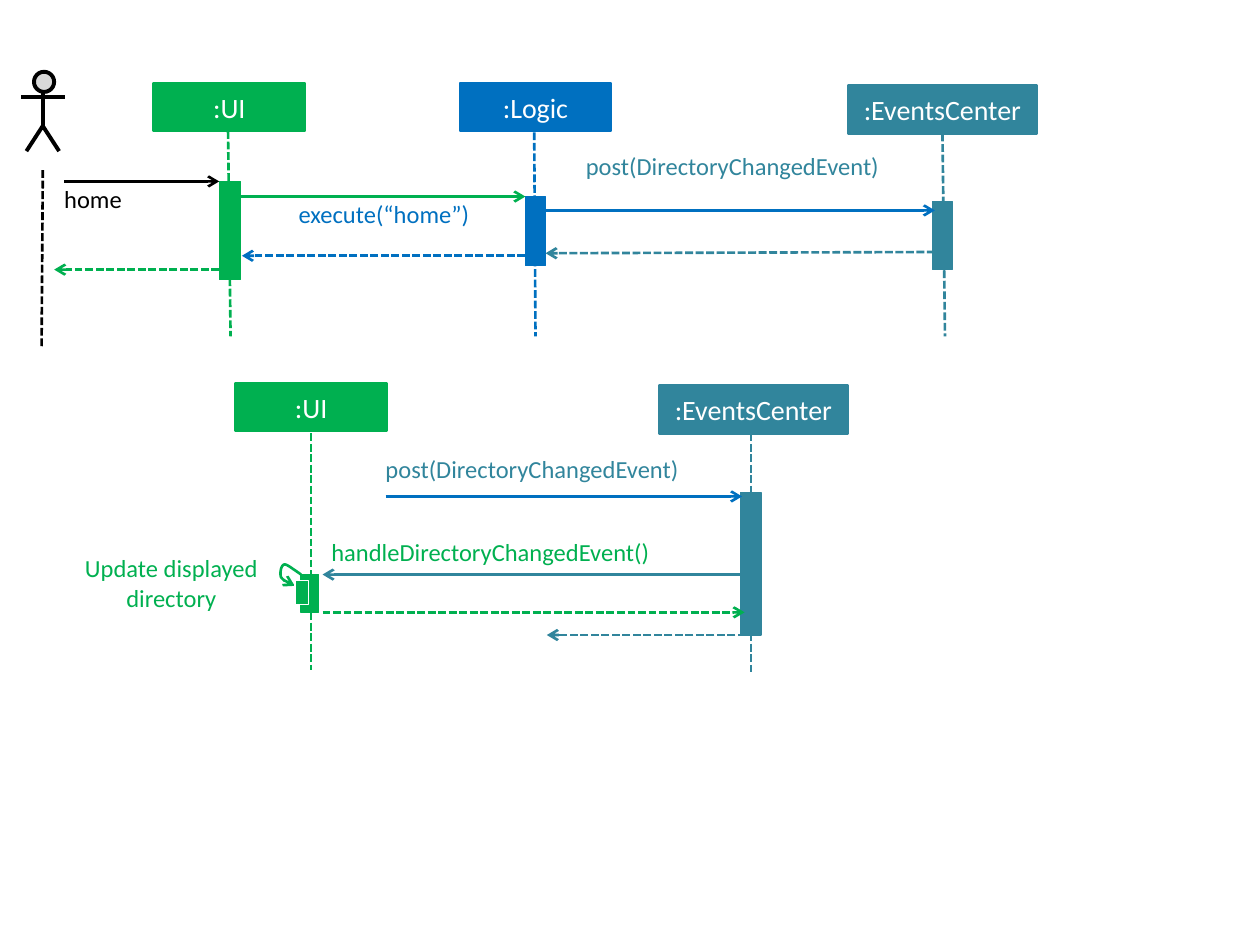
import pptx
import pptx.dml.color
import pptx.enum.dml
import pptx.enum.shapes
import pptx.enum.text
import pptx.oxml.ns
import pptx.util
from lxml import etree

Inches = pptx.util.Inches
Pt = pptx.util.Pt
RGBColor = pptx.dml.color.RGBColor
SHAPE = pptx.enum.shapes.MSO_SHAPE
ALIGN = pptx.enum.text.PP_ALIGN
qn = pptx.oxml.ns.qn

GREEN = RGBColor(0x00, 0xB0, 0x50)
BLUE = RGBColor(0x00, 0x70, 0xC0)
TEAL = RGBColor(0x31, 0x85, 0x9C)
GREY = RGBColor(0xD9, 0xD9, 0xD9)
BLACK = RGBColor(0, 0, 0)
WHITE = RGBColor(0xFF, 0xFF, 0xFF)


def add_run(p, text, size, color):
    r = p.add_run()
    r.text = text
    r.font.name = "Calibri"
    r.font.size = Pt(size)
    r.font.color.rgb = color


def style_line(line, color, width):
    line.color.rgb = color
    line.width = Pt(width)


def add_arrowhead(line, end):
    etree.SubElement(line._get_or_add_ln(), qn("a:" + end), type="arrow")


def add_block(shapes, box, fill, outline, width, kind=SHAPE.RECTANGLE):
    sp = shapes.add_shape(kind, *map(Inches, box))
    sp.shadow.inherit = False
    sp.fill.solid()
    sp.fill.fore_color.rgb = fill
    style_line(sp.line, outline, width)
    return sp


def add_line(shapes, start, end, color, width=1.5, dashed=False, arrow=False):
    cxn = shapes.add_connector(
        pptx.enum.shapes.MSO_CONNECTOR.STRAIGHT, *map(Inches, start + end))
    style_line(cxn.line, color, width)
    if dashed:
        cxn.line.dash_style = pptx.enum.dml.MSO_LINE.SQUARE_DOT
    if arrow:
        add_arrowhead(cxn.line, "tailEnd")
    etree.SubElement(cxn._element.spPr, qn("a:effectLst"))


def add_path(shapes, points, color, width):
    points = [(Inches(x), Inches(y)) for x, y in points]
    builder = shapes.build_freeform(*points[0])
    builder.add_line_segments(points[1:], close=False)
    sp = builder.convert_to_shape()
    sp.shadow.inherit = False
    sp.fill.background()
    style_line(sp.line, color, width)
    return sp


def add_label(shapes, text, box, color, align=ALIGN.LEFT):
    tf = shapes.add_textbox(*map(Inches, box)).text_frame
    tf.word_wrap = True
    tf.margin_left = tf.margin_right = tf.margin_top = tf.margin_bottom = 0
    p = tf.paragraphs[0]
    p.alignment = align
    add_run(p, text, 14, color)


def add_participant(shapes, name, left, top, width, lifeline, bar, color):
    tf = add_block(shapes, (left, top, width, 0.38), color, color, 1.5).text_frame
    tf.vertical_anchor = pptx.enum.text.MSO_ANCHOR.MIDDLE
    p = tf.paragraphs[0]
    p.alignment = ALIGN.CENTER
    add_run(p, name, 16, WHITE)
    add_line(shapes, *lifeline, color, dashed=True)
    add_block(shapes, bar, color, color, 0.75)


def add_actor(shapes):
    actor = shapes.add_group_shape().shapes
    add_block(actor, (0.27, 0.57, 0.16, 0.16), GREY, BLACK, 2.25,
              SHAPE.FLOWCHART_CONNECTOR)
    add_line(actor, (0.34, 0.73), (0.34, 1.01), BLACK, 2.25)
    add_path(actor, [(0.21, 1.2), (0.34, 1), (0.47, 1.2)], BLACK, 2.25)
    add_line(actor, (0.17, 0.77), (0.52, 0.77), BLACK, 2.25)
    add_line(shapes, (0.34, 1.35), (0.33, 2.75), BLACK, dashed=True)


def bezier(points, steps=8):
    for i in range(1, steps + 1):
        t = i / steps
        weights = ((1 - t) ** 3, 3 * t * (1 - t) ** 2, 3 * t * t * (1 - t), t ** 3)
        yield tuple(sum(w * pt[axis] for w, pt in zip(weights, points))
                    for axis in (0, 1))


def add_self_call(shapes):
    call = shapes.add_group_shape().shapes
    controls = [(2.34, 4.65), (2.29, 4.63), (2.25, 4.61), (2.23, 4.58),
                (2.22, 4.55), (2.23, 4.48), (2.26, 4.48),
                (2.28, 4.48), (2.33, 4.52), (2.39, 4.56)]
    points = controls[:1]
    for i in range(0, 9, 3):
        points.extend(bezier(controls[i:i + 4]))
    add_arrowhead(add_path(call, points, GREEN, 1.5).line, "headEnd")
    add_block(call, (2.34, 4.61, 0.11, 0.19), GREEN, WHITE, 0.75)


def main():
    prs = pptx.Presentation()
    prs.slide_width, prs.slide_height = Inches(10), Inches(7.5)
    s = prs.slides.add_slide(prs.slide_layouts[6])
    shapes = s.shapes

    add_actor(shapes)
    participants = [
        (":UI", 1.22, 0.66, 1.2, ((1.81, 1.04), (1.83, 2.67)),
         (1.74, 1.44, 0.17, 0.78), GREEN),
        (":Logic", 3.65, 0.66, 1.2, ((4.24, 1.05), (4.25, 2.67)),
         (4.17, 1.56, 0.16, 0.55), BLUE),
        (":EventsCenter", 6.73, 0.68, 1.5, ((7.48, 1.06), (7.5, 2.67)),
         (7.4, 1.6, 0.16, 0.54), TEAL),
        (":EventsCenter", 5.23, 3.06, 1.5, ((5.96, 3.44), (5.96, 5.33)),
         (5.88, 3.91, 0.16, 1.13), TEAL),
        (":UI", 1.87, 3.04, 1.2, ((2.47, 3.44), (2.47, 5.32)),
         (2.39, 4.56, 0.14, 0.3), GREEN),
    ]
    for participant in participants:
        add_participant(shapes, *participant)

    calls = [
        ((0.51, 1.44), (1.74, 1.44), BLACK),
        ((1.9, 1.56), (4.17, 1.56), GREEN),
        ((4.33, 1.67), (7.42, 1.67), BLUE),
        ((3.06, 3.94), (5.89, 3.94), BLUE),
        ((5.91, 4.56), (2.56, 4.56), TEAL),
    ]
    returns = [
        ((7.42, 2), (4.33, 2.01), TEAL),
        ((4.17, 2.03), (1.92, 2.03), BLUE),
        ((1.74, 2.14), (0.43, 2.14), GREEN),
        ((2.56, 4.86), (5.91, 4.86), GREEN),
        ((5.92, 5.04), (4.34, 5.04), TEAL),
    ]
    for messages, dashed in ((calls, False), (returns, True)):
        for start, end, color in messages:
            add_line(shapes, start, end, color, dashed=dashed, arrow=True)

    labels = [
        ("home", (0.51, 1.46, 0.94, 0.24), BLACK),
        ("execute(“home”)", (2.37, 1.58, 1.56, 0.24), BLUE),
        ("post(DirectoryChangedEvent)", (4.65, 1.2, 2.67, 0.24), TEAL),
        ("post(DirectoryChangedEvent)", (3.06, 3.6, 2.97, 0.24), TEAL),
        ("handleDirectoryChangedEvent()", (2.63, 4.26, 2.91, 0.24), GREEN),
    ]
    for text, box, color in labels:
        add_label(shapes, text, box, color)
    add_self_call(shapes)
    add_label(shapes, "Update displayed directory", (0.6, 4.39, 1.52, 0.47),
              GREEN, ALIGN.CENTER)
    prs.save("out.pptx")


if __name__ == "__main__":
    main()
